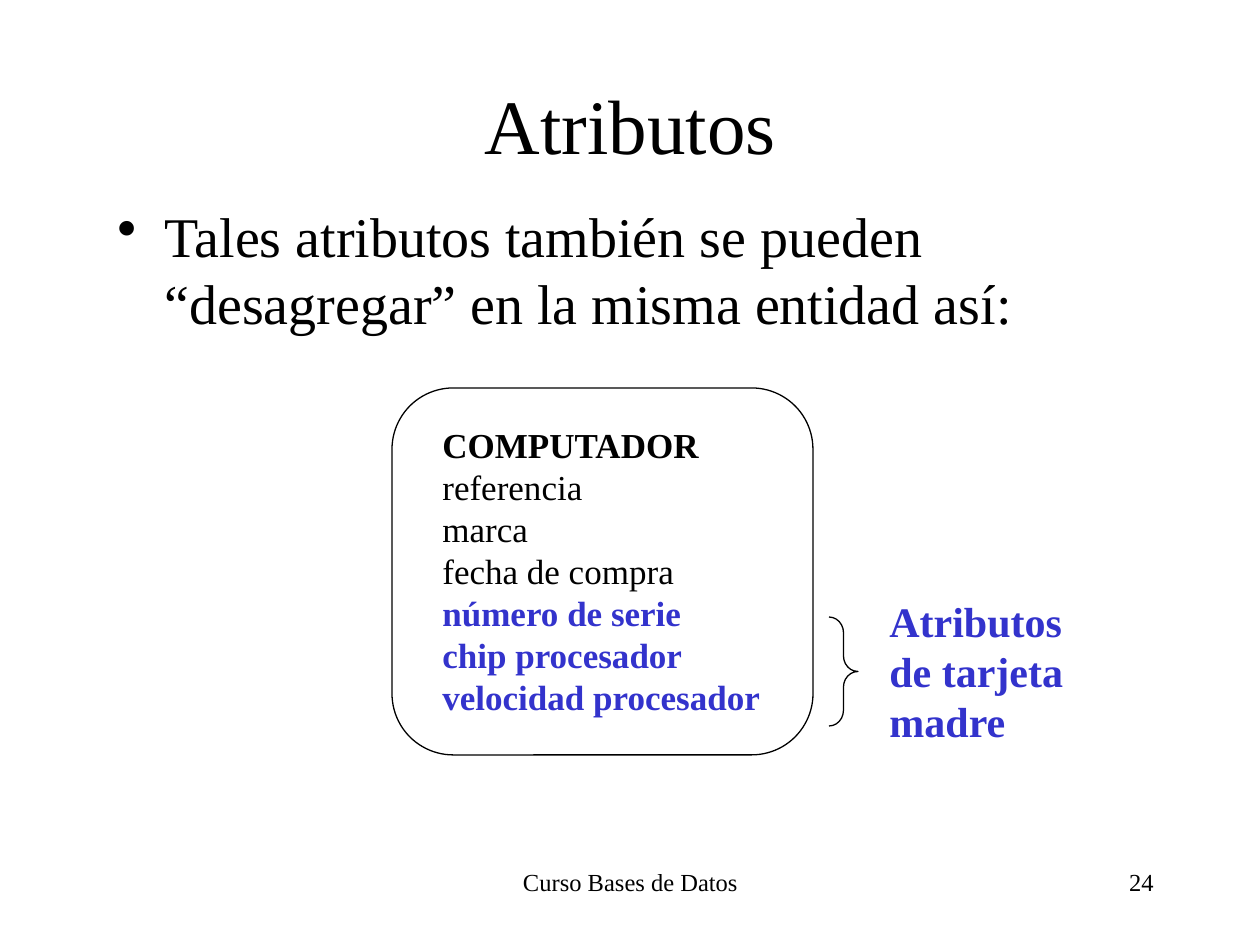
import pptx
import pptx.util
import pptx.dml.color
import pptx.enum.shapes
import pptx.enum.text
import lxml.etree
from dataclasses import dataclass

SCALE = 914400 // 126  # EMU per pixel
ALIGN = pptx.enum.text.PP_ALIGN
ANCHOR = pptx.enum.text.MSO_ANCHOR
SHAPES = pptx.enum.shapes.MSO_SHAPE


@dataclass(frozen=True)
class Theme:
    font: str = "Times New Roman"
    black: str = "000000"
    blue: str = "3333CC"
    title: int = 44
    body: int = 32
    label: int = 24
    entity: int = 20
    footer: int = 14
    line: float = 0.74


THEME = Theme()


def color(value):
    return pptx.dml.color.RGBColor.from_string(value)


def px(*values):
    return [pptx.util.Emu(value * SCALE) for value in values]


def add_text(page, box, lines, size, align=ALIGN.LEFT, anchor=ANCHOR.TOP, wrap=True):
    """Each line is (text, colour, bold)."""
    frame = page.shapes.add_textbox(*px(*box)).text_frame
    frame.word_wrap = wrap
    frame.vertical_anchor = anchor
    for index, (text, tint, bold) in enumerate(lines):
        para = frame.add_paragraph() if index else frame.paragraphs[0]
        para.text = text
        para.alignment = align
        para.font.name = THEME.font
        para.font.size = pptx.util.Pt(size)
        para.font.bold = bold
        para.font.color.rgb = color(tint)
    return frame


def add_outline(page, kind, box, *adjustments):
    shape = page.shapes.add_shape(kind, *px(*box))
    shape.shadow.inherit = False
    shape.fill.background()
    shape.line.color.rgb = color(THEME.black)
    shape.line.width = pptx.util.Pt(THEME.line)
    for index, value in enumerate(adjustments):
        shape.adjustments[index] = value


def add_heading(page, box):
    add_text(page, box, [("Atributos", THEME.black, False)], THEME.title,
             ALIGN.CENTER, ANCHOR.MIDDLE)


def add_bullet(page, box):
    text = "Tales atributos también se pueden “desagregar” en la misma entidad así:"
    para = add_text(page, box, [(text, THEME.black, False)], THEME.body).paragraphs[0]
    para.space_before = pptx.util.Pt(8)
    # Hanging bullet
    props = para._p.get_or_add_pPr()
    indent = px(47)[0]
    props.set("marL", str(indent))
    props.set("indent", str(-indent))
    bullet = lxml.etree.Element(pptx.oxml.ns.qn("a:buChar"), char="•")
    props.find(pptx.oxml.ns.qn("a:defRPr")).addprevious(bullet)


def add_entity(page, box):
    left, top, width, height = box
    add_outline(page, SHAPES.ROUNDED_RECTANGLE, box, 0.167)
    plain = ["referencia", "marca", "fecha de compra"]
    detailed = ["número de serie", "chip procesador", "velocidad procesador"]
    lines = [("COMPUTADOR", THEME.black, True)]
    lines += [(text, THEME.black, False) for text in plain]
    lines += [(text, THEME.blue, True) for text in detailed]
    add_text(page, (left + 38, top + 29, width - 77, height - 59), lines,
             THEME.entity, wrap=False)


def add_brace_label(page, box):
    left, top, width, height = box
    add_outline(page, SHAPES.RIGHT_BRACE, (left, top + 28, 29, 109), 0.54, 0.5)
    lines = [(text, THEME.blue, True) for text in ("Atributos", "de tarjeta", "madre")]
    add_text(page, (left + 48, top, width - 48, height), lines, THEME.label, wrap=False)


def add_footer(page, box):
    left, top, width, height = box
    add_text(page, (left, top, 399, height),
             [("Curso Bases de Datos", THEME.black, False)], THEME.footer, ALIGN.CENTER)
    add_text(page, (left + width - 262, top, 262, height),
             [("24", THEME.black, False)], THEME.footer, ALIGN.RIGHT)


deck = pptx.Presentation()
deck.slide_width, deck.slide_height = px(1260, 945)
page = deck.slides.add_slide(deck.slide_layouts[6])
add_heading(page, (95, 45, 1071, 158))
add_bullet(page, (105, 195, 1071, 179))
add_entity(page, (392, 388, 421, 367))
add_brace_label(page, (829, 589, 257, 164))
add_footer(page, (431, 861, 735, 63))
deck.save("out.pptx")
